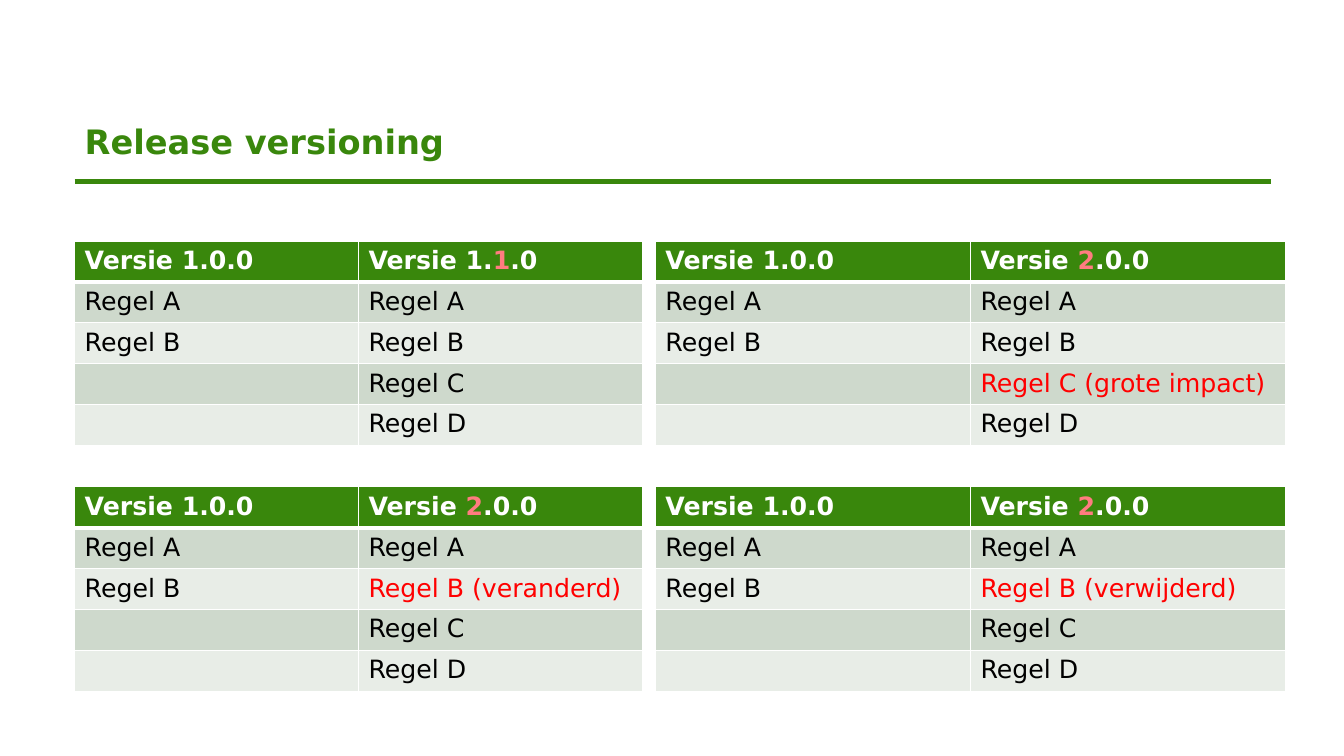
import dataclasses

import lxml.etree
import pptx
import pptx.dml.color
import pptx.enum.shapes
import pptx.enum.text
import pptx.oxml.ns
import pptx.util


@dataclasses.dataclass(frozen=True)
class Theme:
    """Colours, font and sizes of the slide."""
    font: str = "DejaVu Sans"
    title_size: int = 24
    cell_size: int = 18
    green: str = "39870C"
    white: str = "FFFFFF"
    black: str = "000000"
    red: str = "FF0000"
    pink: str = "FF7C80"
    bands: tuple = ("CED9CC", "E8EDE7")
    rule: int = 3
    border: int = 1


THEME = Theme()
LEFT, RIGHT_LEFT = 0.74, 6.5
TOP, BOTTOM_TOP = 2.39, 4.83
LEFT_WIDTH, RIGHT_WIDTH, TABLE_HEIGHT = 5.63, 6.25, 2.03
OLD_RULES = ["Regel A", "Regel B", "", ""]
COMPARISONS = [
    ((LEFT, TOP, LEFT_WIDTH, TABLE_HEIGHT), ("Versie 1.", "1", ".0"),
     ["Regel A", "Regel B", "Regel C", "Regel D"]),
    ((LEFT, BOTTOM_TOP, LEFT_WIDTH, TABLE_HEIGHT), ("Versie ", "2", ".0.0"),
     ["Regel A", "Regel B (veranderd)", "Regel C", "Regel D"]),
    ((RIGHT_LEFT, TOP, RIGHT_WIDTH, TABLE_HEIGHT), ("Versie ", "2", ".0.0"),
     ["Regel A", "Regel B", "Regel C (grote impact)", "Regel D"]),
    ((RIGHT_LEFT, BOTTOM_TOP, RIGHT_WIDTH, TABLE_HEIGHT), ("Versie ", "2", ".0.0"),
     ["Regel A", "Regel B (verwijderd)", "Regel C", "Regel D"]),
]


def rgb(color):
    """Return the colour object for a hex string."""
    return pptx.dml.color.RGBColor.from_string(color)


def add_run(p, text, size, color, bold=False):
    """Add one formatted run to a paragraph."""
    r = p.add_run()
    r.text = text
    r.font.name = THEME.font
    r.font.size = pptx.util.Pt(size)
    r.font.bold = bold
    r.font.color.rgb = rgb(color)


def set_borders(cell, bottom):
    """Draw white borders around a cell with the given bottom width."""
    qn = pptx.oxml.ns.qn
    tc_pr = cell._tc.get_or_add_tcPr()
    for side in "LRTB":
        width = bottom if side == "B" else THEME.border
        ln = lxml.etree.SubElement(tc_pr, qn(f"a:ln{side}"), w=str(pptx.util.Pt(width)))
        fill = lxml.etree.SubElement(ln, qn("a:solidFill"))
        lxml.etree.SubElement(fill, qn("a:srgbClr"), val=THEME.white)


def fill_cell(cell, runs, fill, bold=False):
    """Fill a cell and write its (text, colour) runs."""
    set_borders(cell, THEME.rule if bold else THEME.border)
    cell.fill.solid()
    cell.fill.fore_color.rgb = rgb(fill)
    p = cell.text_frame.paragraphs[0]
    for text, color in runs:
        add_run(p, text, THEME.cell_size, color, bold)


def add_comparison(s, box, version, new_rules):
    """Add a table that sets version 1.0.0 beside a newer version."""
    rows = list(zip(OLD_RULES, new_rules))
    x, y, w, h = map(pptx.util.Inches, box)
    table = s.shapes.add_table(len(rows) + 1, 2, x, y, w, h).table
    old_header = [("Versie 1.0.0", THEME.white)]
    new_header = list(zip(version, (THEME.white, THEME.pink, THEME.white)))
    for col, runs in enumerate((old_header, new_header)):
        fill_cell(table.cell(0, col), runs, THEME.green, bold=True)
    for i, row in enumerate(rows):
        for col, text in enumerate(row):
            color = THEME.red if "(" in text else THEME.black
            runs = [(text, color)] if text else []
            fill_cell(table.cell(i + 1, col), runs, THEME.bands[i % 2])


def add_heading(s, box, text):
    """Place the title in its box and the green rule below it."""
    x, y, w, h = map(pptx.util.Inches, box)
    title = s.shapes.title
    title.left, title.top, title.width, title.height = x, y, w, h
    tf = title.text_frame
    tf.word_wrap = True
    tf.vertical_anchor = pptx.enum.text.MSO_ANCHOR.BOTTOM
    p = tf.paragraphs[0]
    p.alignment = pptx.enum.text.PP_ALIGN.LEFT
    p.line_spacing = 0.9
    add_run(p, text, THEME.title_size, THEME.green, bold=True)
    rule_y = y + h + pptx.util.Inches(0.15)
    line = s.shapes.add_connector(
        pptx.enum.shapes.MSO_CONNECTOR.STRAIGHT, x, rule_y, x + w, rule_y)
    line.line.color.rgb = rgb(THEME.green)
    line.line.width = pptx.util.Pt(THEME.rule)
    lxml.etree.SubElement(line._element.spPr, pptx.oxml.ns.qn("a:effectLst"))


def main():
    """Build and save the slide."""
    prs = pptx.Presentation()
    prs.slide_width = pptx.util.Inches(13.33)
    prs.slide_height = pptx.util.Inches(7.5)
    s = prs.slides.add_slide(prs.slide_layouts.get_by_name("Title Only"))
    add_heading(s, (LEFT, 0.94, 11.87, 0.71), "Release versioning")
    for box, version, new_rules in COMPARISONS:
        add_comparison(s, box, version, new_rules)
    prs.save("out.pptx")


if __name__ == "__main__":
    main()
